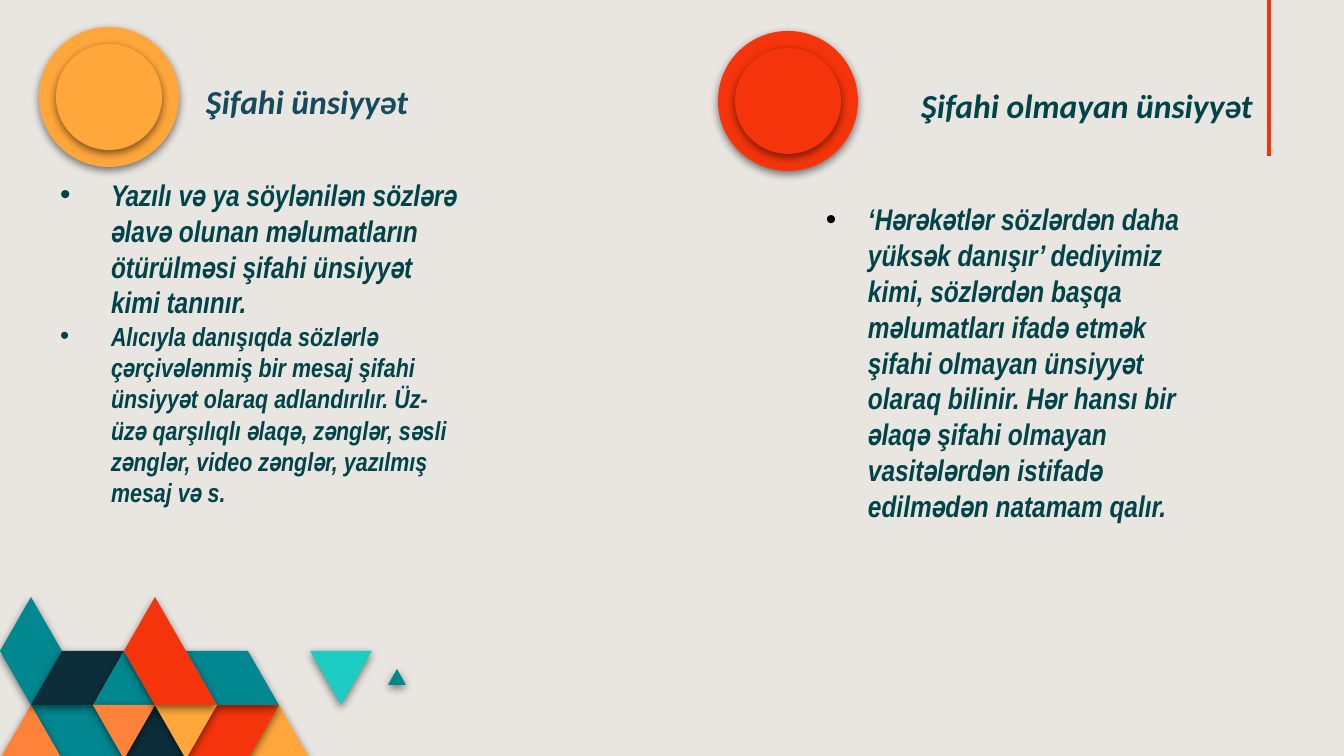
from lxml import etree
from pptx import Presentation
from pptx import util as u
from pptx.dml.color import RGBColor
from pptx.enum import shapes, text
from pptx.oxml.ns import qn

PX = 914400 / 134.4
TEAL, NAVY, RED = "018790", "0C2E3A", "F5340B"
AMBER, ORANGE, AQUA, INK = "FFA73B", "FF823B", "1DCDC3", "004348"
rgb = RGBColor.from_string


def paint(sp, color):
    """Give a shape a plain fill, no outline and a soft shadow below it."""
    sp.fill.solid()
    sp.fill.fore_color.rgb = rgb(color)
    sp.line.fill.background()
    sp.shadow.inherit = False
    effects = sp._element.spPr.find(qn("a:effectLst"))
    shadow = etree.SubElement(effects, qn("a:outerShdw"), blurRad="57150", dist="19050",
                              dir="5400000", algn="ctr", rotWithShape="0")
    black = etree.SubElement(shadow, qn("a:srgbClr"), val="000000")
    etree.SubElement(black, qn("a:alpha"), val="50000")


def write(sp, box, paragraphs, font="Calibri", color=INK, align=text.PP_ALIGN.LEFT,
          anchor=text.MSO_ANCHOR.TOP, inset=(13, 7), indent=0, bullet=INK):
    """Place a text shape and fill it with (string, point size) paragraphs."""
    sp.left, sp.top, sp.width, sp.height = [u.Emu(round(v * PX)) for v in box]
    tf = sp.text_frame
    tf.word_wrap = True
    tf.auto_size = text.MSO_AUTO_SIZE.NONE
    tf.vertical_anchor = anchor
    tf.margin_left = tf.margin_right = round(inset[0] * PX)
    tf.margin_top = tf.margin_bottom = round(inset[1] * PX)
    for i, (string, size) in enumerate(paragraphs):
        p = tf.add_paragraph() if i else tf.paragraphs[0]
        p.alignment = align
        if indent:
            pPr = p._p.get_or_add_pPr()
            pPr.set("marL", str(round(indent * PX)))
            pPr.set("indent", str(-round(indent * PX)))
            bu_color = etree.SubElement(pPr, qn("a:buClr"))
            etree.SubElement(bu_color, qn("a:srgbClr"), val=bullet)
            etree.SubElement(pPr, qn("a:buFont"), typeface="Arial")
            etree.SubElement(pPr, qn("a:buChar"), char="•")
        r = p.add_run()
        r.text = string
        r.font.name, r.font.size = font, u.Pt(size)
        r.font.bold = r.font.italic = True
        r.font.color.rgb = rgb(color)


prs = Presentation()
prs.slide_width, prs.slide_height = round(1344 * PX), round(756 * PX)
s = prs.slides.add_slide(prs.slide_layouts[5])
s.background.fill.solid()
s.background.fill.fore_color.rgb = rgb("E9E6E1")

# Mosaic: corners are (column, row) on a triangular grid
COL, ROW, MOSAIC_TOP = 31, 54, 597
mosaic = [
    (AMBER, [(10, 3), (9, 2), (8, 3)]),
    (RED, [(9, 2), (7, 2), (6, 3), (8, 3)]),
    (TEAL, [(4, 3), (3, 2), (1, 2), (2, 3)]),
    (ORANGE, [(2, 3), (1, 2), (0, 3)]),
    (NAVY, [(6, 3), (5, 2), (4, 3)]),
    (TEAL, [(9, 2), (8, 1), (6, 1), (7, 2)]),
    (AQUA, [(12, 1), (10, 1), (11, 2)]),
    (TEAL, [(2, 1), (1, 0), (0, 1), (1, 2)]),
    (NAVY, [(4, 1), (2, 1), (1, 2), (3, 2)]),
    (TEAL, [(5, 2), (4, 1), (3, 2)]),
    (ORANGE, [(5, 2), (3, 2), (4, 3)]),
    (AMBER, [(7, 2), (5, 2), (6, 3)]),
    (RED, [(7, 2), (5, 0), (4, 1), (5, 2)]),
]
for color, corners in mosaic:
    points = [(c * COL, MOSAIC_TOP + r * ROW) for c, r in corners]
    outline = s.shapes.build_freeform(*points[0], scale=PX)
    outline.add_line_segments(points[1:], close=True)
    paint(outline.convert_to_shape(), color)

# Small triangle and the two double discs
TRIANGLE, OVAL = shapes.MSO_SHAPE.ISOSCELES_TRIANGLE, shapes.MSO_SHAPE.OVAL
presets = [(TRIANGLE, 388, 669, 18, 16, TEAL)]
for x, y, color in [(718, 31, RED), (39, 27, AMBER)]:
    for gap in (0, 17):
        presets.append((OVAL, x + gap, y + gap, 140 - 2 * gap, 140 - 2 * gap, color))
for kind, x, y, w, h, color in presets:
    sp = s.shapes.add_shape(kind, *[round(v * PX) for v in (x, y, w, h)])
    paint(sp, color)

rule = s.shapes.add_connector(shapes.MSO_CONNECTOR.STRAIGHT,
                              *[round(v * PX) for v in (1269, -235, 1269, 156)])
rule.line.color.rgb = rgb(RED)
rule.line.width = u.Pt(2.25)
etree.SubElement(rule._element.spPr, qn("a:effectLst"))

write(s.shapes.title, (77, 54, 1189, 84), [("Şifahi olmayan ünsiyyət", 18)],
      align=text.PP_ALIGN.RIGHT, anchor=text.MSO_ANCHOR.BOTTOM, inset=(13, 13))
write(s.shapes.add_textbox(0, 0, 0, 0), (193, 42, 386, 86), [("Şifahi ünsiyyət", 18)],
      color="144B5E", anchor=text.MSO_ANCHOR.BOTTOM)
write(s.shapes.add_textbox(0, 0, 0, 0), (60, 177, 402, 331), [
    ("Yazılı və ya söylənilən sözlərə əlavə olunan məlumatların ötürülməsi şifahi "
     "ünsiyyət kimi tanınır.", 16),
    ("Alıcıyla danışıqda sözlərlə çərçivələnmiş bir mesaj şifahi ünsiyyət olaraq "
     "adlandırılır. Üz-üzə qarşılıqlı əlaqə, zənglər, səsli zənglər, video zənglər, "
     "yazılmış mesaj və s.", 14),
], font="Arial Narrow", anchor=text.MSO_ANCHOR.MIDDLE, inset=(0, 0), indent=51)
write(s.shapes.add_textbox(0, 0, 0, 0), (813, 194, 409, 339), [
    ("‘Hərəkətlər sözlərdən daha yüksək danışır’ dediyimiz kimi, sözlərdən başqa "
     "məlumatları ifadə etmək şifahi olmayan ünsiyyət olaraq bilinir. Hər hansı bir "
     "əlaqə şifahi olmayan vasitələrdən istifadə edilmədən natamam qalır.", 16),
], font="Arial Narrow", indent=42, bullet="000000")

prs.save("out.pptx")
